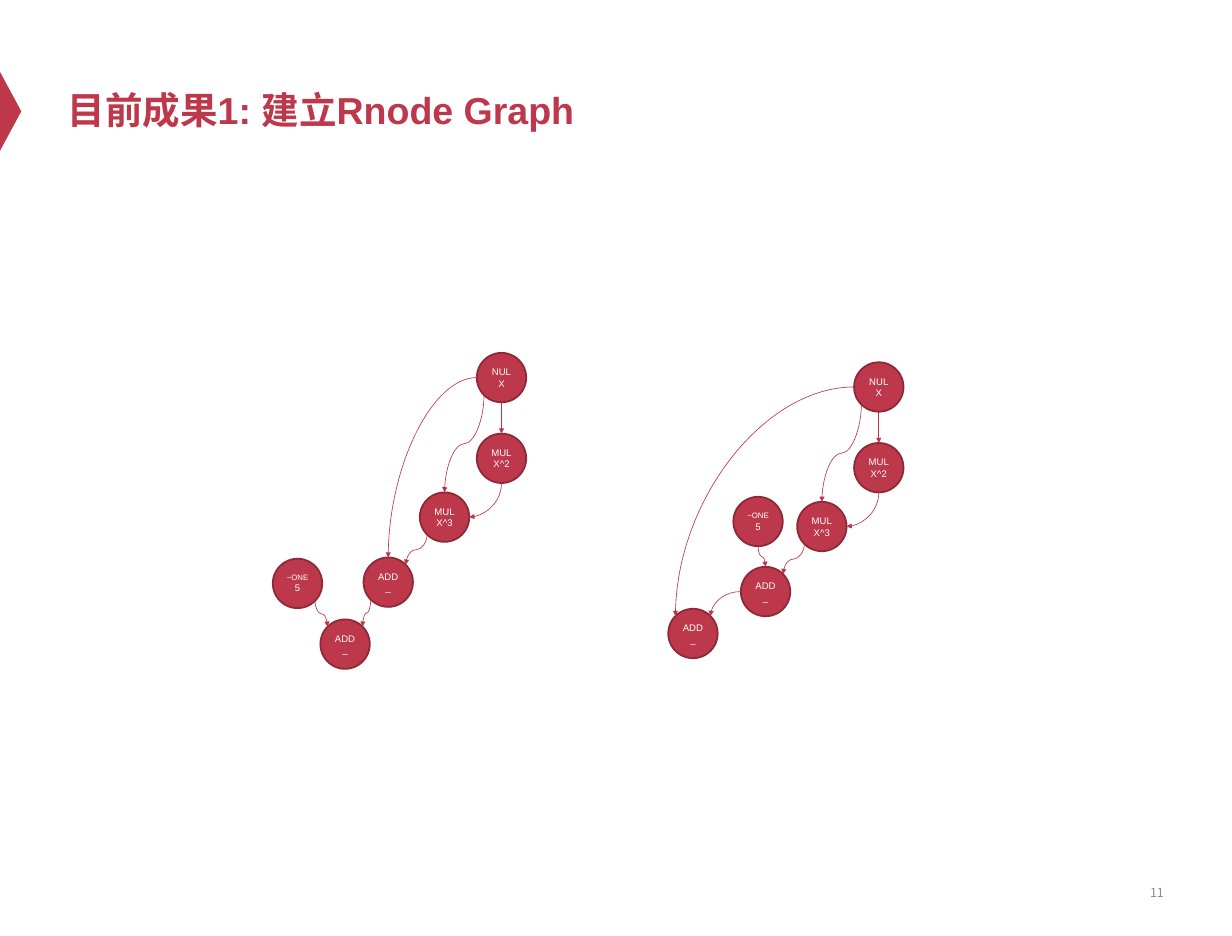
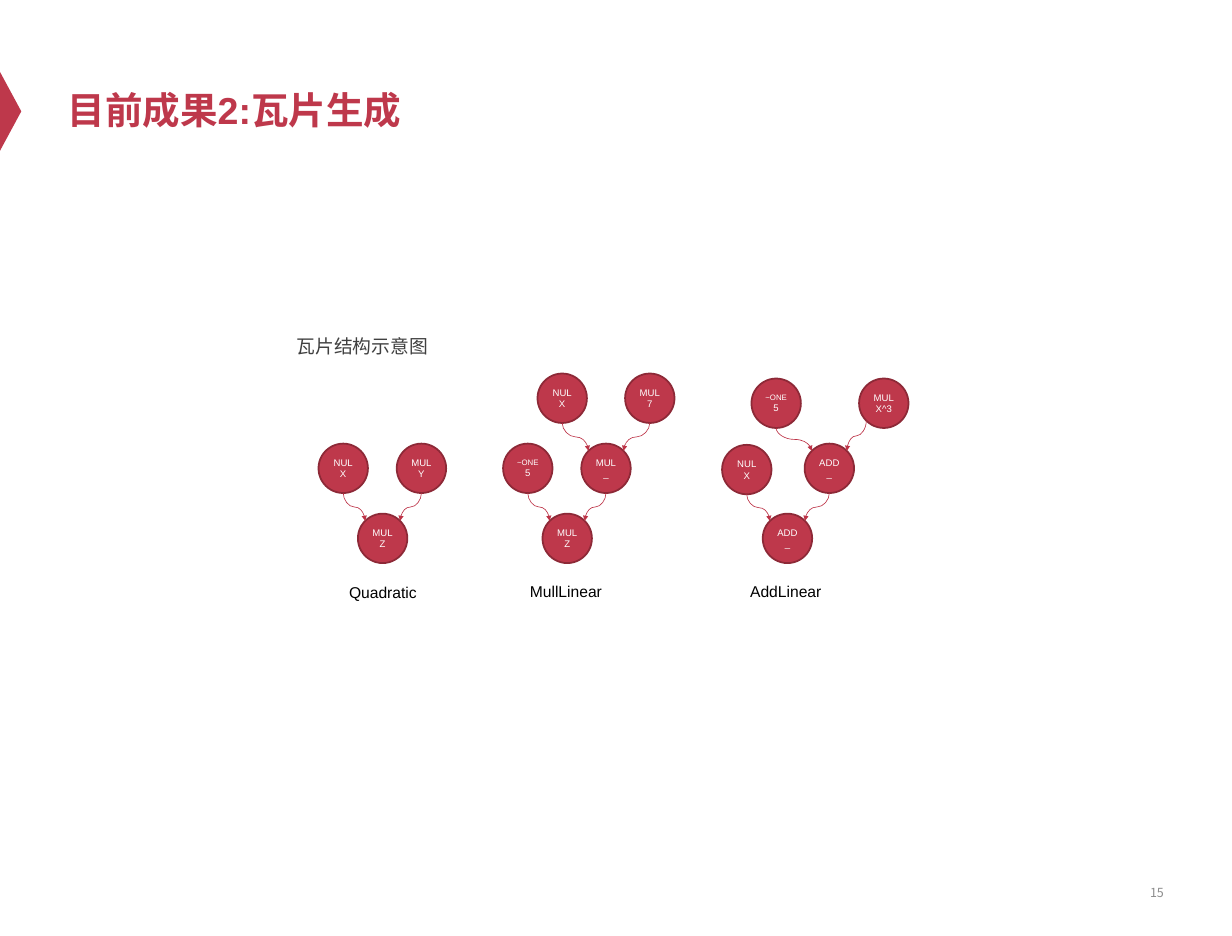
from math import cos, radians, sin

from pptx import Presentation
from pptx.dml.color import RGBColor
from pptx.enum.shapes import MSO_CONNECTOR, MSO_SHAPE
from pptx.enum.text import MSO_ANCHOR as Anchor, PP_ALIGN as Align
from pptx.oxml.ns import qn
from pptx.oxml.xmlchemy import OxmlElement as Element
from pptx.util import Inches, Pt

COLORS = {"red": "BE384B", "rim": "8D2937", "arrow": "BD3347", "white": "FFFFFF",
          "gray": "404040", "page": "8C8C8C", "black": "000000"}
LATIN, CJK = "Arial", "Noto Sans CJK SC"
NODE = 0.79
# Connection sites of an ellipse run counter-clockwise from the top
TOP, TOP_LEFT, LEFT, BOTTOM_LEFT, BOTTOM, BOTTOM_RIGHT, RIGHT, TOP_RIGHT = range(8)


def rgb(name):
    return RGBColor.from_string(COLORS[name])


def add_child(parent, tag, **attributes):
    child = Element(tag)
    for key, value in attributes.items():
        child.set(key, str(value))
    parent.append(child)


class Deck:
    def __init__(self):
        self.prs = Presentation()
        self.prs.slide_width, self.prs.slide_height = Inches(19.69), Inches(14.96)
        self.slide = None

    def place(self, shape, left, top, width, height):
        shape.left, shape.top = Inches(left), Inches(top)
        shape.width, shape.height = Inches(width), Inches(height)

    def add_text(self, paragraph, words, size, color, bold=False, font=LATIN, align=Align.LEFT):
        paragraph.alignment = align
        run = paragraph.add_run()
        run.text = words
        run.font.size, run.font.bold, run.font.name = Pt(size), bold, font
        run.font.color.rgb = rgb(color)
        add_child(run.font._element, "a:ea", typeface=CJK)

    def new_slide(self, heading, page, layout):
        self.slide = self.prs.slides.add_slide(self.prs.slide_layouts[layout])
        # Marker on the left edge
        marker = self.shape(MSO_SHAPE.ISOSCELES_TRIANGLE, -0.46, 1.61, 1.26, 0.34)
        marker.rotation = 90
        marker.line.fill.background()
        # Title and page number
        title = self.slide.shapes.title
        self.place(title, 0.98, 0.51, 17.72, 2.49)
        title.text_frame.vertical_anchor = Anchor.MIDDLE
        self.add_text(title.text_frame.paragraphs[0], heading, 43.2, "red", bold=True)
        self.label(page, 14.11, 13.87, 4.59, 0.8, 14.4, "page", CJK, Align.RIGHT, Anchor.MIDDLE)

    def shape(self, kind, left, top, width, height):
        shape = self.slide.shapes.add_shape(
            kind, Inches(left), Inches(top), Inches(width), Inches(height))
        shape.shadow.inherit = False
        shape.fill.solid()
        shape.fill.fore_color.rgb = rgb("red")
        return shape

    def label(self, words, left, top, width=1.43, height=0.4, size=18, color="black",
              font=LATIN, align=Align.LEFT, anchor=Anchor.TOP):
        box = self.slide.shapes.add_textbox(
            Inches(left), Inches(top), Inches(width), Inches(height))
        box.text_frame.word_wrap = True
        box.text_frame.vertical_anchor = anchor
        self.add_text(box.text_frame.paragraphs[0], words, size, color, font=font, align=align)

    def body(self, words, left, top, width, height):
        body = self.slide.placeholders[1]
        self.place(body, left, top, width, height)
        paragraph = body.text_frame.paragraphs[0]
        paragraph.level, paragraph.line_spacing = 1, 1.2
        self.add_text(paragraph, words, 21.6, "gray")
        props = paragraph._p.get_or_add_pPr()
        props.set("marL", str(Inches(0.6)))
        props.set("indent", "0")
        add_child(props, "a:buNone")

    def node(self, operation, value, left, top):
        node = self.shape(MSO_SHAPE.OVAL, left, top, NODE, NODE)
        node.line.color.rgb, node.line.width = rgb("rim"), Pt(2)
        frame = node.text_frame
        frame.word_wrap, frame.vertical_anchor = False, Anchor.MIDDLE
        frame.margin_left = frame.margin_right = 0
        size = 9 if operation == "~ONE" else 11
        self.add_text(frame.paragraphs[0], operation, size, "white", align=Align.CENTER)
        self.add_text(frame.add_paragraph(), value, 11, "white", align=Align.CENTER)
        return node

    def site(self, node, index):
        angle, radius = radians(45 * index), node.width / 2
        return (node.left + radius * (1 - sin(angle)), node.top + radius * (1 - cos(angle)))

    def arrow(self, source, start, target, end):
        (x1, y1), (x2, y2) = self.site(source, start), self.site(target, end)
        turn = 0
        if start != LEFT:
            # A curve that leaves downwards is a sideways one, turned about its centre
            turn = 1 if x2 <= x1 else -1
            mid_x, mid_y = (x1 + x2) / 2, (y1 + y2) / 2
            run, rise = turn * (y2 - y1) / 2, abs(x2 - x1) / 2
            x1, y1, x2, y2 = mid_x - run, mid_y - rise, mid_x + run, mid_y + rise
        arrow = self.slide.shapes.add_connector(
            MSO_CONNECTOR.CURVE, *(round(v) for v in (x1, y1, x2, y2)))
        props = arrow._element.spPr
        if turn:
            props.find(qn("a:xfrm")).set("rot", str(turn % 4 * 5400000))
        if start == LEFT or end == RIGHT:
            props.find(qn("a:prstGeom")).set("prst", "curvedConnector2")
        arrow.line.color.rgb, arrow.line.width = rgb("arrow"), Pt(0.75)
        add_child(props.find(qn("a:ln")), "a:tailEnd", type="triangle")
        add_child(props, "a:effectLst")
        # Glue both ends to the nodes
        glue = arrow._element.find(qn("p:nvCxnSpPr")).find(qn("p:cNvCxnSpPr"))
        add_child(glue, "a:stCxn", id=source.shape_id, idx=start)
        add_child(glue, "a:endCxn", id=target.shape_id, idx=end)

    def graph(self, left, top, nodes, arrows):
        """Nodes: name -> (operation, value, dx, dy) from the graph's corner."""
        drawn = {name: self.node(operation, value, left + dx, top + dy)
                 for name, (operation, value, dx, dy) in nodes.items()}
        for source, start, target, end in arrows:
            self.arrow(drawn[source], start, drawn[target], end)


deck = Deck()

# Slide 1: two Rnode graphs that share the chain x, x^2, x^3, sum
deck.new_slide("目前成果1: 建立Rnode Graph", "11", layout=5)
CHAIN = {"x": ("NUL", "X", 0, 0), "square": ("MUL", "X^2", 0, 1.29),
         "cube": ("MUL", "X^3", -0.91, 2.23), "sum": ("ADD", "_", -1.81, 3.27)}
CHAIN_ARROWS = [("x", BOTTOM, "square", TOP), ("square", BOTTOM, "cube", RIGHT),
                ("x", BOTTOM_LEFT, "cube", TOP), ("cube", BOTTOM_LEFT, "sum", TOP_RIGHT)]
deck.graph(7.62, 5.64,
           CHAIN | {"five": ("~ONE", "5", -3.26, 3.29), "total": ("ADD", "_", -2.5, 4.26)},
           CHAIN_ARROWS + [("x", LEFT, "sum", TOP),
                           ("five", BOTTOM_RIGHT, "total", TOP_LEFT),
                           ("sum", BOTTOM_LEFT, "total", TOP_RIGHT)])
deck.graph(13.65, 5.79,
           CHAIN | {"five": ("~ONE", "5", -1.93, 2.15), "total": ("ADD", "_", -2.97, 3.94)},
           CHAIN_ARROWS + [("x", LEFT, "total", TOP_LEFT),
                           ("five", BOTTOM, "sum", TOP),
                           ("sum", LEFT, "total", TOP_RIGHT)])

# Slide 2: three tile structures
deck.new_slide("目前成果2:瓦片生成", "15", layout=1)
deck.body("瓦片结构示意图", 4.04, 5.23, 11.13, 5.45)
ROW, STEP = 7.09, 1.12
PAIR = [("left", BOTTOM, "root", TOP_LEFT), ("right", BOTTOM, "root", TOP_RIGHT)]
UPPER = [("upper left", BOTTOM, "right", TOP_LEFT)]
deck.graph(5.09, ROW,
           {"left": ("NUL", "X", 0, 0), "right": ("MUL", "Y", 1.25, 0),
            "root": ("MUL", "Z", 0.63, STEP)}, PAIR)
deck.graph(8.04, ROW,
           {"left": ("~ONE", "5", 0, 0), "right": ("MUL", "_", 1.25, 0),
            "root": ("MUL", "Z", 0.63, STEP),
            "upper left": ("NUL", "X", 0.55, -STEP), "upper right": ("MUL", "7", 1.95, -STEP)},
           PAIR + UPPER + [("upper right", BOTTOM, "right", TOP_RIGHT)])
deck.graph(11.54, ROW,
           {"left": ("NUL", "X", 0, 0.02), "right": ("ADD", "_", 1.32, 0),
            "root": ("ADD", "_", 0.65, STEP),
            "upper left": ("~ONE", "5", 0.47, -1.04), "upper right": ("MUL", "X^3", 2.19, -1.04)},
           PAIR + UPPER + [("upper right", BOTTOM_LEFT, "right", TOP_RIGHT)])
for tile, left, top in [("Quadratic", 5.48, 9.27), ("MullLinear", 8.37, 9.25),
                        ("AddLinear", 11.89, 9.25)]:
    deck.label(tile, left, top)

deck.prs.save("out.pptx")
